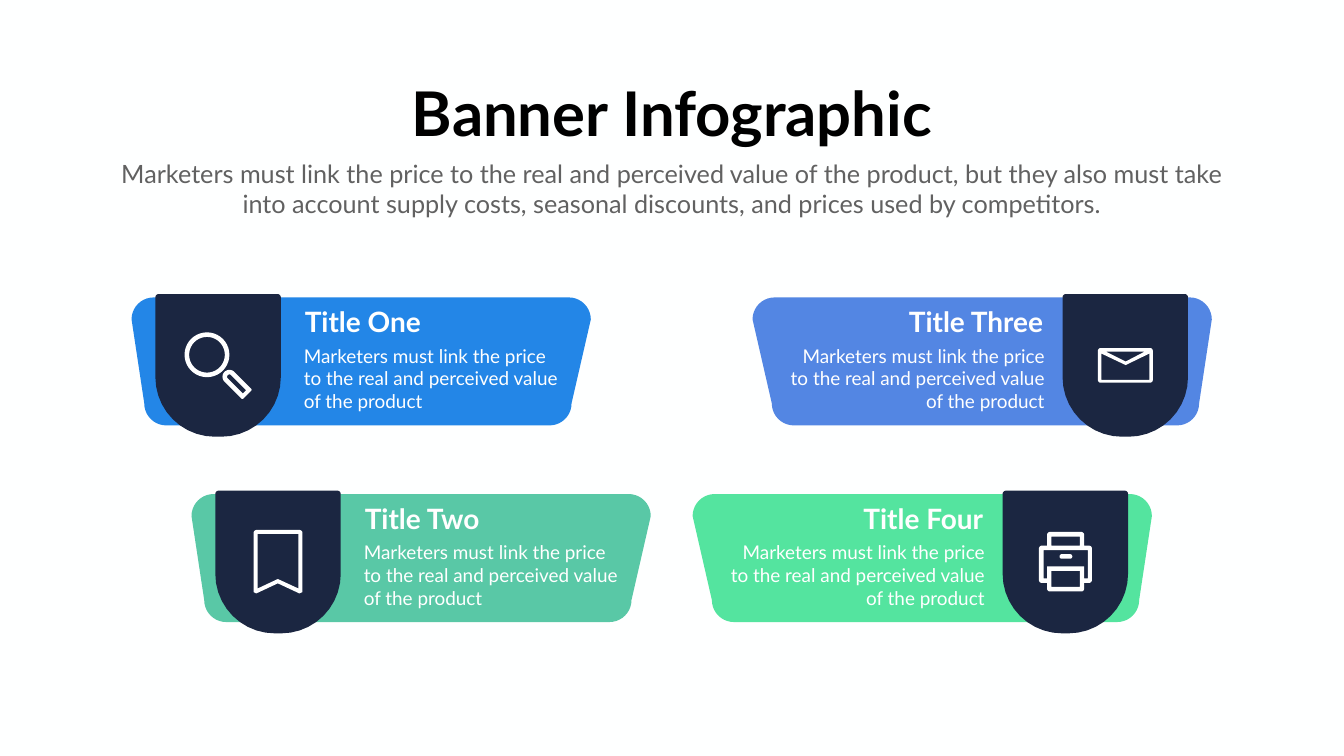
from math import cos, pi, radians, sin

from pptx import Presentation
from pptx.dml.color import RGBColor
from pptx.enum.text import MSO_ANCHOR, MSO_AUTO_SIZE, PP_ALIGN
from pptx.util import Cm, Pt

TOP = MSO_ANCHOR.TOP
GROW = MSO_AUTO_SIZE.SHAPE_TO_FIT_TEXT
LEFT, CENTER, RIGHT = PP_ALIGN.LEFT, PP_ALIGN.CENTER, PP_ALIGN.RIGHT

FONT = "Lato"
COLORS = {
    "back": "FEFFFF", "black": "000000", "gray": "616161", "white": "FFFFFF",
    "navy": "1B2641", "blue": "2386E7", "teal": "59C8A6",
    "indigo": "5386E3", "green": "54E49F",
}
BODY = "Marketers must link the price to the real and perceived value of the product"
WIDE, HIGH = 23.14, 6.45  # banner
BADGE = 6.32  # badge width
SOFT = 0.15  # corner radius of icons

# title, color, left, top, whether the badge sits on the right, icon
BANNERS = [
    ("Title One", "blue", 6.63, 14.99, False, "lens"),
    ("Title Two", "teal", 9.65, 24.9, False, "mark"),
    ("Title Three", "indigo", 37.92, 14.99, True, "mail"),
    ("Title Four", "green", 34.9, 24.9, True, "print"),
]


def color(name):
    return RGBColor.from_string(COLORS[name])


def bend(x, y, r, start, steps=10):
    """Points of a clockwise quarter circle around x, y."""
    if not r:
        return [(x, y)]
    turns = [radians(start) + pi / 2 * i / steps for i in range(steps + 1)]
    return [(x + r * cos(a), y + r * sin(a)) for a in turns]


def loop(*corners):
    """Outline through four rounded corners, clockwise from top left."""
    return [p for i, (x, y, r) in enumerate(corners)
            for p in bend(x, y, r, 180 + 90 * i)]


def box(x, y, w, h, r=0):
    right, low = x + w - r, y + h - r
    return loop((x + r, y + r, r), (right, y + r, r),
                (right, low, r), (x + r, low, r))


def spin(points, x, y):
    """Turn points by 45 degrees and move them to x, y."""
    k = cos(pi / 4)
    return [(x + k * (a - b), y + k * (a + b)) for a, b in points]


def draw(slide, loops, fill, left, top):
    """Fill the first loop; the others are holes in it."""
    paths = [[(Cm(left + x), Cm(top + y)) for x, y in path] for path in loops]
    pen = slide.shapes.build_freeform(*paths[0][0])
    for i, path in enumerate(paths):
        if i:
            pen.move_to(*path[0])
        pen.add_line_segments(path[1:], close=True)
    shape = pen.convert_to_shape()
    shape.shadow.inherit = False
    shape.fill.solid()
    shape.fill.fore_color.rgb = color(fill)
    shape.line.fill.background()


def lens():
    ring = [box(1.47, 1.93, 2.26, 2.26, 1.13), box(1.7, 2.16, 1.8, 1.8, 0.9)]
    grip = []
    for half, end, r in ((0.35, 1.27, 0.07), (0.12, 1.07, 0)):
        path = loop((0, 0, half), (end - r, r - half, r),
                    (end - r, half - r, r), (0, 0, half))
        grip.append(spin(path, 3.73, 4.17))
    return [grip, ring]


def mark():
    rim = (bend(2.08, 2.13, SOFT, 180) + bend(4.24, 2.13, SOFT, 270)
           + [(4.39, 5.11), (4.24, 5.18), (3.15, 4.67), (2.06, 5.18), (1.93, 5.11)])
    hole = [(2.13, 2.18), (4.19, 2.18), (4.19, 4.93), (3.15, 4.45), (2.13, 4.93)]
    return [[rim, hole]]


def mail():
    pouch = [(1.96, 4.32), (1.96, 3), (3.18, 3.58), (4.37, 3), (4.37, 4.32)]
    flap = [(2.18, 2.9), (4.14, 2.9), (3.18, 3.4)]
    return [[box(1.78, 2.72, 2.77, 1.75, SOFT), pouch, flap]]


def printer():
    rim = (bend(2.39, 2.23, SOFT, 180) + bend(3.96, 2.23, SOFT, 270)
           + [(4.11, 2.77)] + bend(4.35, 2.92, SOFT, 270)
           + bend(4.35, 4.5, SOFT, 0) + [(4.11, 4.65)]
           + bend(3.96, 4.93, SOFT, 0) + bend(2.39, 4.93, SOFT, 90)
           + [(2.24, 4.65)] + bend(1.98, 4.5, SOFT, 90)
           + bend(1.98, 2.92, SOFT, 180) + [(2.24, 2.77)])
    case = [(2.06, 3), (4.29, 3), (4.29, 4.42), (4.11, 4.42),
            (4.11, 3.81), (2.24, 3.81), (2.24, 4.42), (2.06, 4.42)]
    feed, sheet = box(2.46, 2.31, 1.43, 0.46), box(2.46, 4.04, 1.43, 0.81)
    return [[rim, case, feed, sheet], [box(2.87, 3.2, 0.64, 0.23, 0.11)]]


ICONS = {"lens": lens, "mark": mark, "mail": mail, "print": printer}


def write(frame, text, size, ink, align, bold=False):
    frame.word_wrap = True
    frame.auto_size = GROW
    frame.vertical_anchor = TOP
    para = frame.paragraphs[0]
    para.alignment = align
    para.line_spacing = 1.0
    run = para.add_run()
    run.text = text
    run.font.name = FONT
    run.font.size = Pt(size)
    run.font.bold = bold
    run.font.color.rgb = color(ink)


def add_text(slide, area, *style):
    note = slide.shapes.add_textbox(*map(Cm, area))
    write(note.text_frame, *style)


def add_title(slide, text):
    title = slide.shapes.title
    title.left, title.top = Cm(20.17), Cm(3.63)
    title.width, title.height = Cm(27.38), Cm(4.01)
    write(title.text_frame, text, 88, "black", CENTER, True)


def add_banner(slide, title, fill, left, top, flip, icon):
    plate = loop((1.11, 1.11, 1.11), (22.03, 1.11, 1.11),
                 (21.06, 5.34, 1.11), (1.75, 5.34, 1.11))
    if flip:
        plate = [(WIDE - x, y) for x, y in plate]
    draw(slide, [plate], fill, left, top)

    side = left + (WIDE - 1.2 - BADGE if flip else 1.2)
    badge = loop((0.17, 0.17, 0.17), (BADGE - 0.17, 0.17, 0.17),
                 (BADGE - 3, 4.19, 3), (3, 4.19, 3))
    draw(slide, [badge], "navy", side, top - 0.17)
    for loops in ICONS[icon]():
        draw(slide, loops, "white", side, top - 0.17)

    align = RIGHT if flip else LEFT
    head, body = (7.9, 13.39) if flip else (6.53, 13.39)
    head_x = left + (WIDE - 8.25 - head if flip else 8.48)
    body_x = left + (WIDE - 8.18 - body if flip else 8.43)
    add_text(slide, (head_x, top + 0.25, head, 1.96),
             title, 40, "white", align, True)
    add_text(slide, (body_x, top + 2.24, body, 3.71),
             BODY, 27, "white", align)


def main():
    deck = Presentation()
    deck.slide_width, deck.slide_height = Cm(67.72), Cm(38.1)
    slide = deck.slides.add_slide(deck.slide_layouts[5])
    slide.background.fill.solid()
    slide.background.fill.fore_color.rgb = color("back")
    add_title(slide, "Banner Infographic")
    add_text(slide, (5.64, 7.85, 56.41, 3.33),
             "Marketers must link the price to the real and perceived value of "
             "the product, but they also must take into account supply costs, "
             "seasonal discounts, and prices used by competitors.",
             36, "gray", CENTER)
    for banner in BANNERS:
        add_banner(slide, *banner)
    deck.save("out.pptx")


if __name__ == "__main__":
    main()
